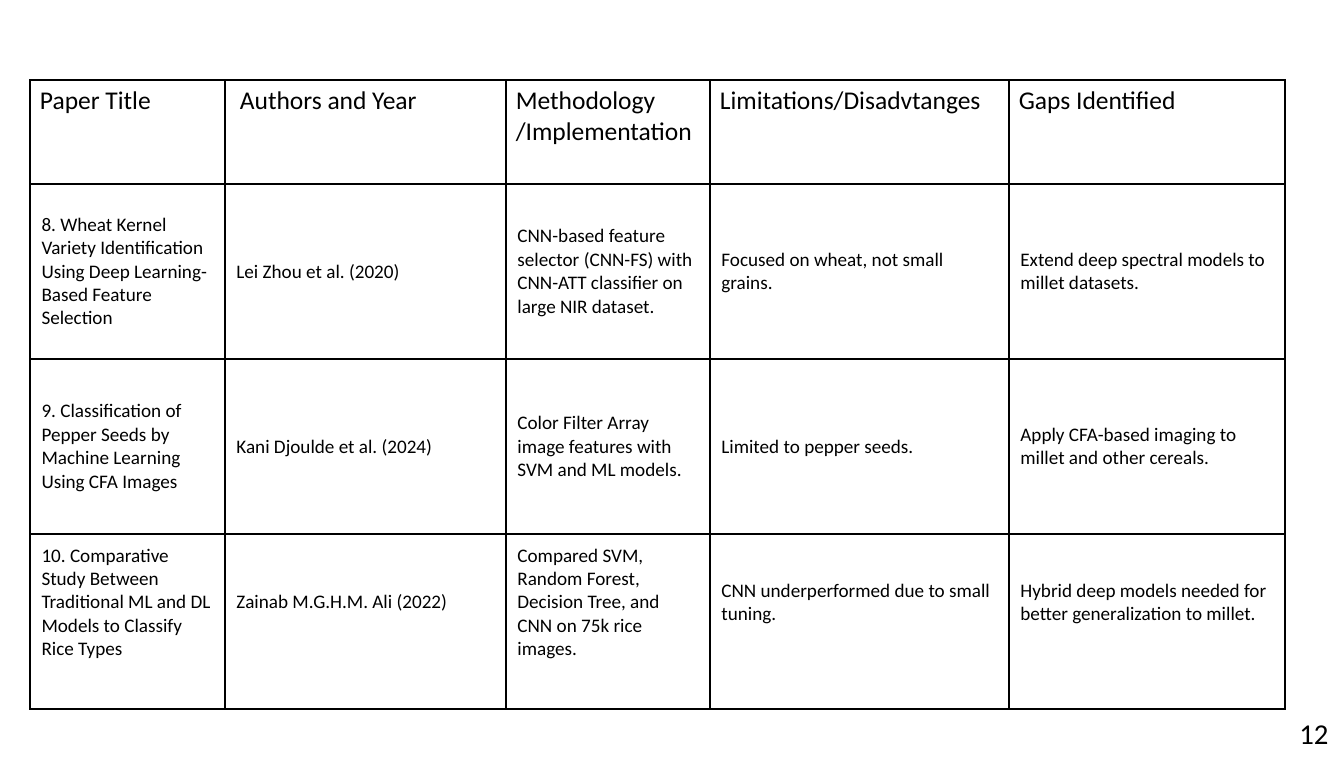
from lxml import etree
from pptx import Presentation
from pptx import util as u
from pptx.dml.color import RGBColor
from pptx.enum import text
from pptx.oxml.ns import qn

PX = u.Inches(1) / 115
COLORS = {"ink": "000000", "paper": "FFFFFF"}
FONT = "Calibri"


def px(length):
    return u.Emu(round(length * PX))


def style_text(frame, size):
    for paragraph in frame.paragraphs:
        paragraph.font.name = FONT
        paragraph.font.size = u.Pt(size)
        paragraph.font.bold = False
        paragraph.font.color.rgb = RGBColor.from_string(COLORS["ink"])


presentation = Presentation()
presentation.slide_width, presentation.slide_height = px(1344), px(757)
slide = presentation.slides.add_slide(presentation.slide_layouts[6])

# Literature survey content
COLUMN_WIDTHS = [195, 281, 204, 299, 276]
ROW_HEIGHTS = [104, 175, 175, 175]
SURVEY = [
    ["Paper Title", "Authors and Year", "Methodology\n/Implementation",
     "Limitations/Disadvtanges", "Gaps Identified"],
    ["8. Wheat Kernel Variety Identification Using Deep Learning-Based Feature Selection",
     "Lei Zhou et al. (2020)",
     "CNN-based feature selector (CNN-FS) with CNN-ATT classifier on large NIR dataset.",
     "Focused on wheat, not small grains.",
     "Extend deep spectral models to millet datasets."],
    ["9. Classification of Pepper Seeds by Machine Learning Using CFA Images",
     "Kani Djoulde et al. (2024)",
     "Color Filter Array image features with SVM and ML models.",
     "Limited to pepper seeds.",
     "Apply CFA-based imaging to millet and other cereals."],
    ["10. Comparative Study Between Traditional ML and DL Models to Classify Rice Types",
     "Zainab M.G.H.M. Ali (2022)",
     "Compared SVM, Random Forest, Decision Tree, and CNN on 75k rice images.",
     "CNN underperformed due to small tuning.",
     "Hybrid deep models needed for better generalization to millet."],
]

# Table grid
table = slide.shapes.add_table(
    len(SURVEY), len(COLUMN_WIDTHS), px(30), px(80),
    px(sum(COLUMN_WIDTHS)), px(sum(ROW_HEIGHTS))).table
table.first_row = table.horz_banding = False
for column, width in zip(table.columns, COLUMN_WIDTHS):
    column.width = px(width)
for row, height in zip(table.rows, ROW_HEIGHTS):
    row.height = px(height)

# Cells
last_row = len(SURVEY) - 1
for row_index, entries in enumerate(SURVEY):
    for column_index, entry in enumerate(entries):
        cell = table.cell(row_index, column_index)
        cell.text_frame.text = entry
        if row_index == 0:
            style_text(cell.text_frame, 16)
            cell.margin_left = px(15 if column_index == 1 else 10)
            cell.margin_right = px(10)
            cell.margin_top = cell.margin_bottom = px(5)
        else:
            style_text(cell.text_frame, 12)
            cell.vertical_anchor = text.MSO_ANCHOR.MIDDLE
        if row_index == last_row:
            cell.margin_bottom = px(44)

        # Borders come before the fill in the cell properties
        properties = cell._tc.get_or_add_tcPr()
        for side in ("a:lnL", "a:lnR", "a:lnT", "a:lnB"):
            border = etree.SubElement(properties, qn(side), w=str(u.Pt(1)))
            fill = etree.SubElement(border, qn("a:solidFill"))
            etree.SubElement(fill, qn("a:srgbClr"), val=COLORS["ink"])
        cell.fill.solid()
        cell.fill.fore_color.rgb = RGBColor.from_string(COLORS["paper"])

# Page number
page_number = slide.shapes.add_textbox(px(1288), px(710), px(55), px(46))
page_number.text_frame.text = "12"
page_number.text_frame.word_wrap = False
style_text(page_number.text_frame, 18)

presentation.save("out.pptx")
